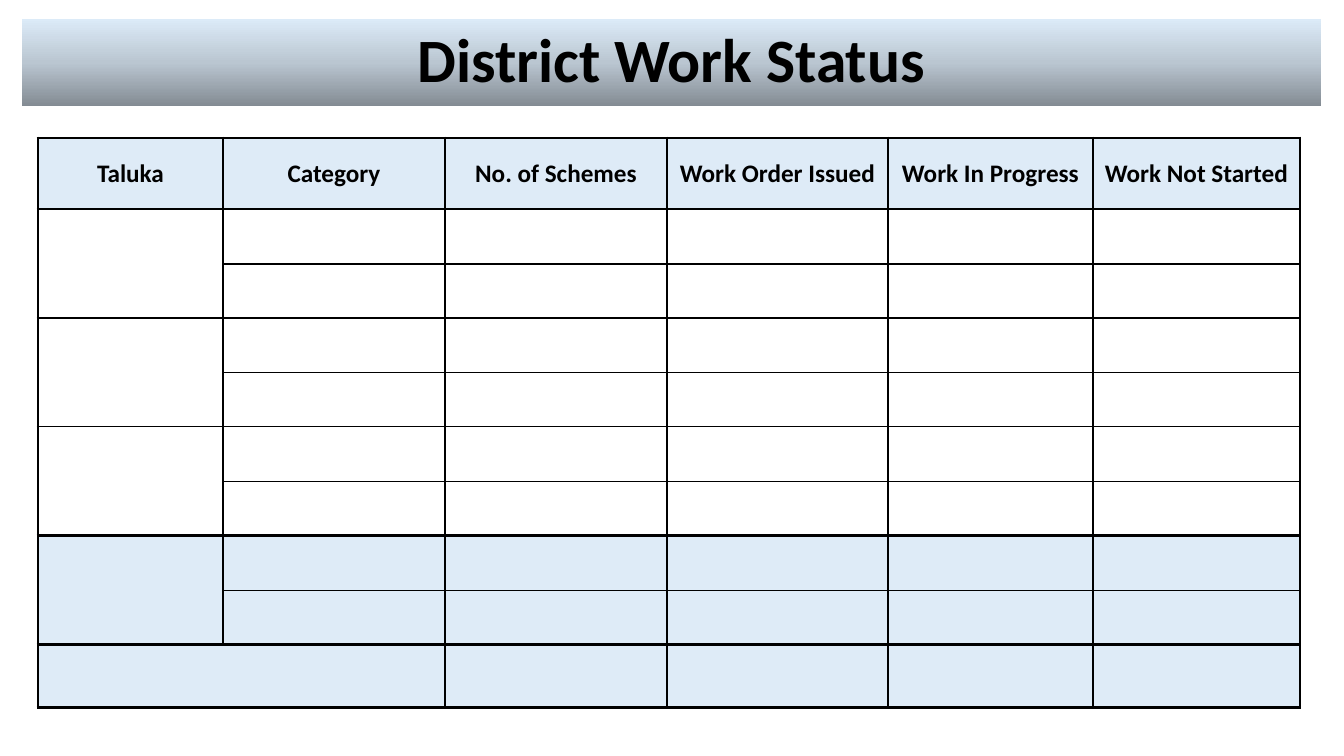
import pptx
import pptx.util
import pptx.dml.color
import pptx.enum.shapes
import pptx.enum.text
import pptx.oxml
import pptx.oxml.ns

RGB = pptx.dml.color.RGBColor
BLACK = RGB(0x00, 0x00, 0x00)
PALE_BLUE = RGB(0xDE, 0xEB, 0xF7)
BANNER_STOPS = [
    (0, RGB(0x83, 0x8B, 0x93)),
    (50, RGB(0xBA, 0xC6, 0xD1)),
    (100, RGB(0xDC, 0xEB, 0xF8)),
]
FONT = "Calibri"
THIN, THICK = 1, 2.25

HEADERS = ["Taluka", "Category", "No. of Schemes", "Work Order Issued",
           "Work In Progress", "Work Not Started"]
COL_WIDTHS = [185, 222, 222, 221, 205, 207]
ROW_HEIGHTS = [71] + [55, 54] * 4 + [63]
TALUKA_ROWS = [1, 3, 5, 7]
SHADED_ROWS = [0, 7, 8, 9]
THICK_ROW_LINES = [0, 1, 7, 9, 10]
THICK_COL_LINES = [0, 6]


def px(n):
    return pptx.util.Emu(round(n * 914400 / 100.8))


def write(tf, text, size=18, bold=True, color=BLACK, line_spacing=1.0):
    tf.word_wrap = True
    p = tf.paragraphs[0]
    p.alignment = pptx.enum.text.PP_ALIGN.CENTER
    p.line_spacing = line_spacing
    r = p.add_run()
    r.text = text
    r.font.name = FONT
    r.font.size = pptx.util.Pt(size)
    r.font.bold = bold
    r.font.color.rgb = color


def xml(markup):
    return pptx.oxml.parse_xml(
        markup.replace(">", " " + pptx.oxml.ns.nsdecls("a") + ">", 1))


def fill_gradient(sp, stops, angle):
    marks = "".join(
        f'<a:gs pos="{pos * 1000}"><a:srgbClr val="{color}"/></a:gs>'
        for pos, color in stops)
    grad = xml(f'<a:gradFill rotWithShape="1"><a:gsLst>{marks}</a:gsLst>'
               f'<a:lin ang="{angle * 60000}" scaled="0"/></a:gradFill>')
    sp.fill.background()
    no_fill = sp.element.spPr.find(pptx.oxml.ns.qn("a:noFill"))
    sp.element.spPr.replace(no_fill, grad)


def set_borders(cell, **widths):
    tc_pr = cell._tc.get_or_add_tcPr()
    for side, width in widths.items():
        tc_pr.append(xml(
            f'<a:ln{side} w="{pptx.util.Pt(width)}"><a:solidFill>'
            f'<a:srgbClr val="{BLACK}"/></a:solidFill></a:ln{side}>'))


def add_banner(s, left, top, width, height):
    sp = s.shapes.add_shape(pptx.enum.shapes.MSO_SHAPE.RECTANGLE,
                            px(left), px(top), px(width), px(height))
    sp.shadow.inherit = False
    sp.line.fill.background()
    fill_gradient(sp, BANNER_STOPS, 270)
    sp.text_frame.vertical_anchor = pptx.enum.text.MSO_ANCHOR.MIDDLE
    write(sp.text_frame, "District Work Status", size=44, line_spacing=0.9)


def row_line(i):
    return THICK if i in THICK_ROW_LINES else THIN


def col_line(i):
    return THICK if i in THICK_COL_LINES else THIN


def add_status_table(s, left, top):
    n_rows, n_cols = len(ROW_HEIGHTS), len(COL_WIDTHS)
    table = s.shapes.add_table(n_rows, n_cols, px(left), px(top),
                               px(sum(COL_WIDTHS)), px(sum(ROW_HEIGHTS))).table
    table.first_row = table.horz_banding = False
    for col, width in zip(table.columns, COL_WIDTHS):
        col.width = px(width)
    for row, height in zip(table.rows, ROW_HEIGHTS):
        row.height = px(height)
    for i in TALUKA_ROWS:
        table.cell(i, 0).merge(table.cell(i + 1, 0))
    table.cell(n_rows - 1, 0).merge(table.cell(n_rows - 1, 1))

    for i in range(n_rows):
        for j in range(n_cols):
            cell = table.cell(i, j)
            if not cell.is_spanned:
                set_borders(cell, L=col_line(j), R=col_line(j + cell.span_width),
                            T=row_line(i), B=row_line(i + cell.span_height))
            if i in SHADED_ROWS:
                cell.fill.solid()
                cell.fill.fore_color.rgb = PALE_BLUE
            else:
                cell.fill.background()

    for j, header in enumerate(HEADERS):
        cell = table.cell(0, j)
        cell.vertical_anchor = pptx.enum.text.MSO_ANCHOR.MIDDLE
        cell.margin_left = cell.margin_right = cell.margin_top = px(1)
        cell.margin_bottom = 0
        write(cell.text_frame, header)


prs = pptx.Presentation()
prs.slide_width, prs.slide_height = px(1344), px(756)
s = prs.slides.add_slide(prs.slide_layouts[6])
add_banner(s, 22, 19, 1299, 87)
add_status_table(s, 38, 138)
prs.save("out.pptx")
